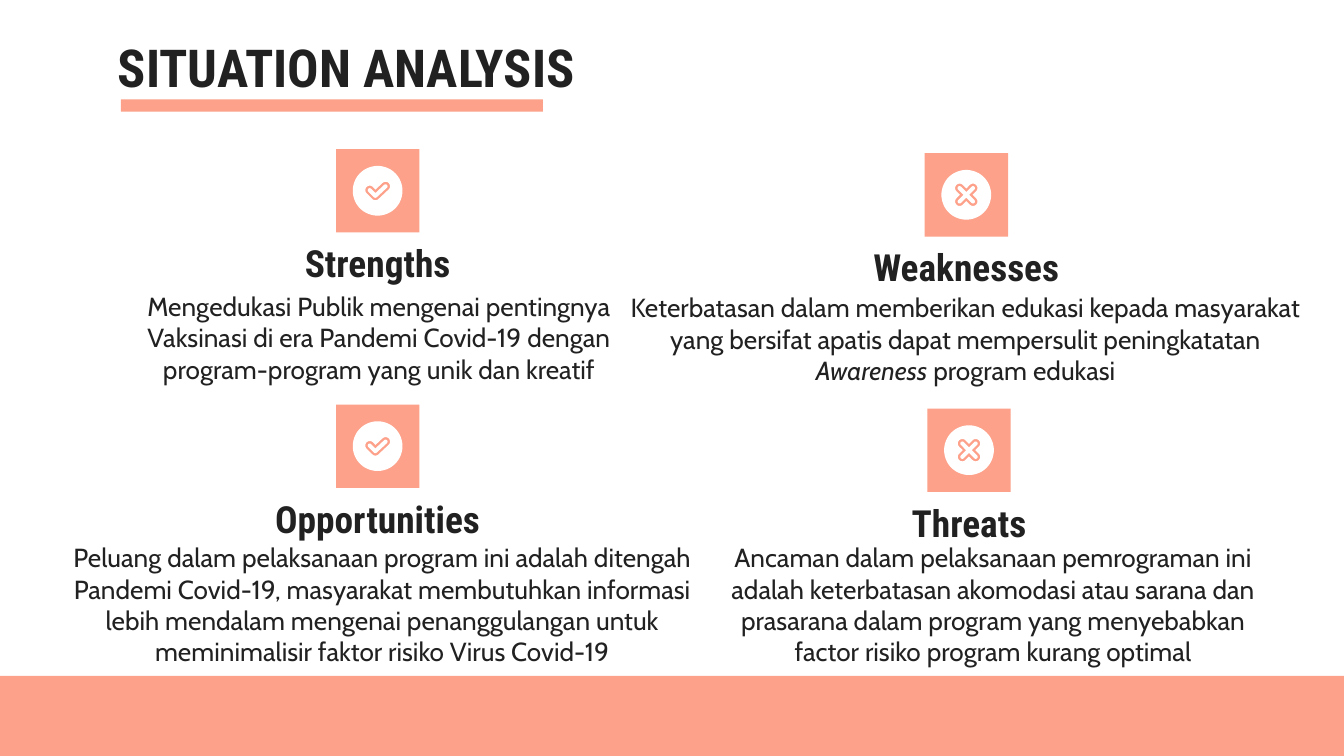
from dataclasses import dataclass
from math import cos, radians, sin

from pptx import Presentation
from pptx import util as u
from pptx.dml.color import RGBColor
from pptx.enum import shapes, text


@dataclass(frozen=True)
class Theme:
    """Colours, fonts and type sizes of the slide."""
    accent: RGBColor = RGBColor.from_string("FDA18A")
    ink: RGBColor = RGBColor.from_string("212121")
    white: RGBColor = RGBColor.from_string("FFFFFF")
    heading_font: str = "Roboto Condensed"
    body_font: str = "Cabin"
    title_size: int = 28
    heading_size: int = 20
    body_size: int = 14


@dataclass(frozen=True)
class Mark:
    """A symbol of round-ended arms, in units of the disc radius."""
    hub: tuple
    arms: tuple


@dataclass(frozen=True)
class Quadrant:
    """One part of the analysis, with emphasis between asterisks."""
    heading: str
    body: str
    mark: Mark
    badge_at: tuple
    heading_left: float
    body_box: tuple


THEME = Theme()
BADGE_SIZE = 0.62
DISC_RADIUS = 0.37 / 2
OUTER_STROKE, INNER_STROKE = 0.18, 0.08
HEADING_SIZE = (2.78, 0.45)
CHECK = Mark((-0.09, 0.2), ((225, 0.32), (317, 0.56)))
CROSS = Mark((0, 0), tuple((angle, 0.38) for angle in (45, 135, 225, 315)))

QUADRANTS = (
    Quadrant(
        "Strengths",
        "Mengedukasi Publik mengenai pentingnya Vaksinasi di era Pandemi "
        "Covid-19 dengan program-program yang unik dan kreatif",
        CHECK, (2.5, 1.11), 1.42, (0.87, 2.06, 3.9, 1.23)),
    Quadrant(
        "Weaknesses",
        "Keterbatasan dalam memberikan edukasi kepada masyarakat yang "
        "bersifat apatis dapat mempersulit peningkatatan *Awareness *"
        "program edukasi",
        CROSS, (6.88, 1.14), 5.8, (4.57, 2.07, 5.23, 1.23)),
    Quadrant(
        "Opportunities",
        "Peluang dalam pelaksanaan program ini adalah ditengah Pandemi "
        "Covid-19, masyarakat membutuhkan informasi lebih mendalam mengenai "
        "penanggulangan untuk meminimalisir faktor risiko Virus Covid-19",
        CHECK, (2.5, 3.01), 1.42, (0.26, 3.93, 5.17, 1.23)),
    Quadrant(
        "Threats",
        "Ancaman dalam pelaksanaan pemrograman ini adalah keterbatasan "
        "akomodasi atau sarana dan prasarana dalam program yang menyebabkan "
        "factor risiko program kurang optimal",
        CROSS, (6.9, 3.04), 5.82, (5.16, 3.93, 4.46, 1.26)),
)


def paint(shape, color):
    """Give a shape a plain fill without line or shadow."""
    shape.fill.solid()
    shape.fill.fore_color.rgb = color
    shape.line.fill.background()
    shape.shadow.inherit = False


def add_block(slide, box, color, preset=shapes.MSO_SHAPE.RECTANGLE):
    """Add a filled block and return it."""
    block = slide.shapes.add_shape(preset, *map(u.Inches, box))
    paint(block, color)
    return block


def add_text(slide, box, content, font_name, size, bold=False, centered=True,
             anchor=text.MSO_ANCHOR.TOP):
    """Add a wrapped text box, with italics between asterisks."""
    frame = slide.shapes.add_textbox(*map(u.Inches, box)).text_frame
    frame.word_wrap = True
    frame.vertical_anchor = anchor
    frame.margin_left = frame.margin_right = u.Inches(0.1)
    frame.margin_top = frame.margin_bottom = u.Inches(0.1)
    paragraph = frame.paragraphs[0]
    paragraph.alignment = text.PP_ALIGN.CENTER if centered else text.PP_ALIGN.LEFT
    for index, piece in enumerate(content.split("*")):
        run = paragraph.add_run()
        run.text = piece
        font = run.font
        font.name, font.size = font_name, u.Pt(size)
        font.bold, font.italic = bold, index % 2 == 1
        font.color.rgb = THEME.ink


def polar(center, angle, distance):
    """Return the point at an angle and distance from a center."""
    turn = radians(angle)
    return center[0] + distance * cos(turn), center[1] + distance * sin(turn)


def arc(center, radius, start, end, steps=12):
    """Return points along an arc between two angles."""
    return [polar(center, start + (end - start) * step / steps, radius)
            for step in range(steps + 1)]


def mark_outline(mark, stroke):
    """Trace the arms of a mark at a stroke distance around them."""
    points = []
    following = mark.arms[1:] + mark.arms[:1]
    for (angle, length), (next_angle, _) in zip(mark.arms, following):
        tip = polar(mark.hub, angle, length)
        points += arc(tip, stroke, angle - 90, angle + 90)
        gap = (next_angle - angle) % 360
        if gap < 180:
            distance = stroke / sin(radians(gap / 2))
            points.append(polar(mark.hub, angle + gap / 2, distance))
        else:
            points += arc(mark.hub, stroke, angle + 90, angle + gap - 90)
    return points


def add_outline(slide, center, contours):
    """Add a white freeform whose later contours cut holes."""
    placed = [[tuple(u.Inches(middle + DISC_RADIUS * offset)
                     for middle, offset in zip(center, point))
               for point in contour] for contour in contours]
    builder = slide.shapes.build_freeform(*placed[0][0])
    builder.add_line_segments(placed[0][1:], close=True)
    for contour in placed[1:]:
        builder.move_to(*contour[0])
        builder.add_line_segments(contour[1:], close=True)
    paint(builder.convert_to_shape(), THEME.white)


def add_badge(slide, position, mark):
    """Add a square badge with a disc and an outlined mark."""
    badge = add_block(slide, (*position, BADGE_SIZE, BADGE_SIZE), THEME.accent,
                      shapes.MSO_SHAPE.ROUNDED_RECTANGLE)
    badge.adjustments[0] = 0
    center = tuple(start + BADGE_SIZE / 2 for start in position)
    disc = arc((0, 0), 1, 0, 360, steps=72)
    add_outline(slide, center, [disc, mark_outline(mark, OUTER_STROKE)])
    add_outline(slide, center, [mark_outline(mark, INNER_STROKE)])


def add_quadrant(slide, quadrant):
    """Add the heading, body and badge of one quadrant."""
    heading_top = quadrant.badge_at[1] + BADGE_SIZE
    add_text(slide, (quadrant.heading_left, heading_top, *HEADING_SIZE),
             quadrant.heading, THEME.heading_font, THEME.heading_size,
             bold=True, anchor=text.MSO_ANCHOR.MIDDLE)
    add_text(slide, quadrant.body_box, quadrant.body, THEME.body_font,
             THEME.body_size)
    add_badge(slide, quadrant.badge_at, quadrant.mark)


def main():
    """Build and save the situation analysis slide."""
    presentation = Presentation()
    presentation.slide_width = u.Inches(10)
    presentation.slide_height = u.Inches(10 * 9 / 16)
    slide = presentation.slides.add_slide(presentation.slide_layouts[6])
    add_block(slide, (0, 5.03, 10, 0.6), THEME.accent)
    add_text(slide, (0.78, 0.16, 8.2, 0.63), "SITUATION ANALYSIS",
             THEME.heading_font, THEME.title_size, bold=True, centered=False)
    add_block(slide, (0.9, 0.74, 3.14, 0.09), THEME.accent)
    for quadrant in QUADRANTS:
        add_quadrant(slide, quadrant)
    presentation.save("out.pptx")


if __name__ == "__main__":
    main()
